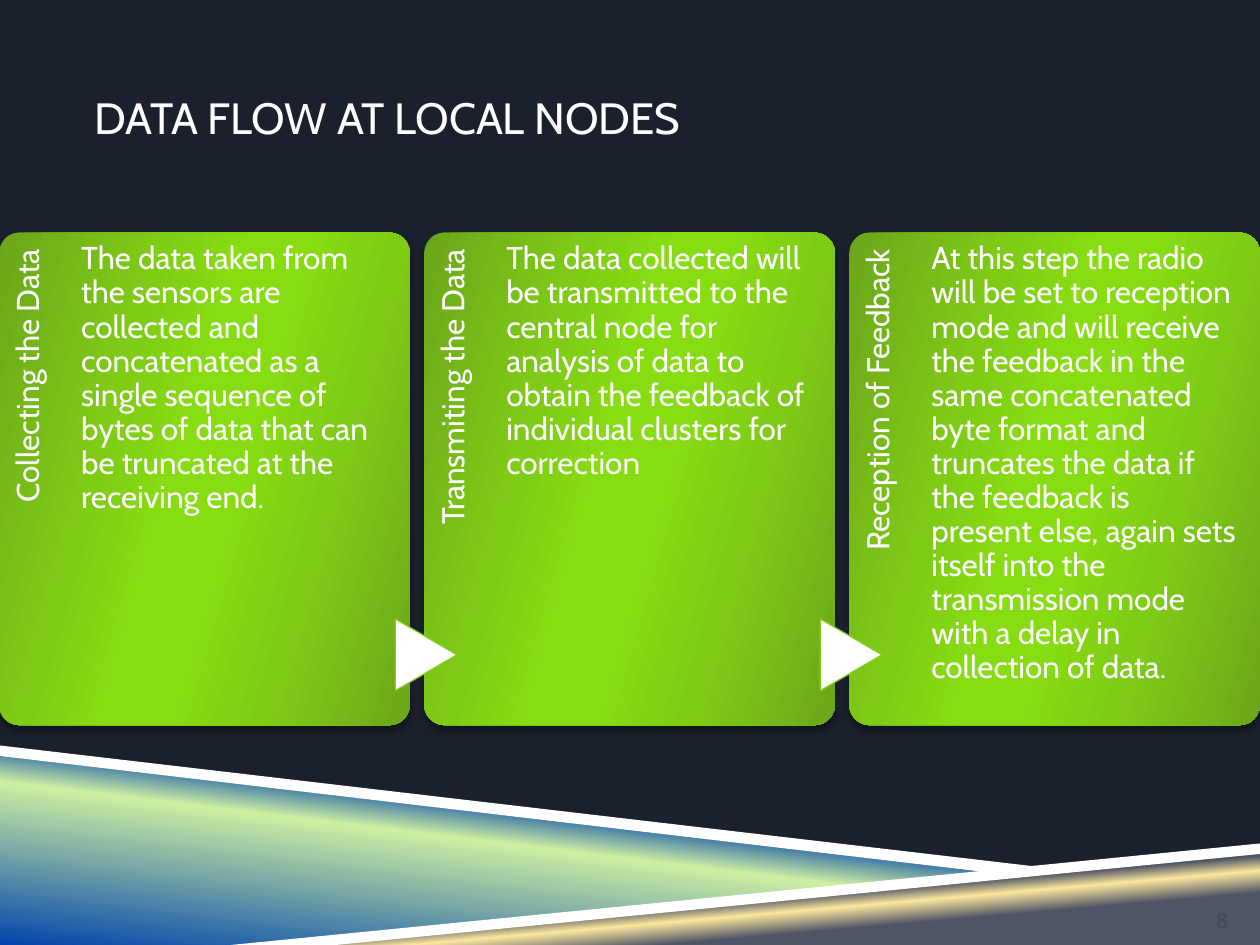
from pptx import Presentation
from pptx.dml.color import RGBColor
from pptx.enum.shapes import MSO_SHAPE
from pptx.enum.text import MSO_ANCHOR, PP_ALIGN
from pptx.oxml import parse_xml
from pptx.oxml.ns import nsdecls
from pptx.util import Pt

WHITE = RGBColor(0xFF, 0xFF, 0xFF)
NAVY = RGBColor(0x1B, 0x21, 0x2C)
BLACK = RGBColor(0, 0, 0)
GRAY = RGBColor(0x47, 0x4A, 0x52)
BLUE = RGBColor(0x01, 0x45, 0xAC)
PALE = RGBColor(0xCE, 0xEF, 0xA2)
SLATE = RGBColor(0x4E, 0x55, 0x67)
SAND = RGBColor(0xFD, 0xE8, 0x9E)
DARK = RGBColor(0x6B, 0xA6, 0x1A)
GREEN = RGBColor(0x7F, 0xCC, 0x16)
BRIGHT = RGBColor(0x87, 0xDD, 0x11)
EDGE = RGBColor(0x85, 0xCE, 0x21)

FONT = "Cabin"
TOP, WIDTH, HEIGHT, STEP = 132.9, 234.7, 281.5, 242.9
SEA = [(0, BLUE), (52, PALE), (66, BLUE), (100, BLUE)]
SHORE = [(0, SLATE), (28, SLATE), (40, SAND), (48, SLATE), (100, SLATE)]
LEAF = [(0, DARK), (30, GREEN), (45, BRIGHT), (55, BRIGHT), (73, GREEN), (100, DARK)]

STEPS = [
    ("Collecting the Data",
     "The data taken from the sensors are collected and concatenated as a single "
     "sequence of bytes of data that can be truncated at the receiving end."),
    ("Transmiting the Data",
     "The data collected will be transmitted to the central node for analysis of "
     "data to obtain the feedback of individual clusters for correction"),
    ("Reception of Feedback",
     "At this step the radio will be set to reception mode and will receive the "
     "feedback in the same concatenated byte format and truncates the data if the "
     "feedback is present else, again sets itself into the transmission mode with "
     "a delay in collection of data."),
]


def shade(shape, stops, angle):
    shape.fill.background()
    marks = "".join(
        f'<a:gs pos="{pos * 1000}"><a:srgbClr val="{color}"/></a:gs>'
        for pos, color in stops)
    grad = parse_xml(
        f'<a:gradFill {nsdecls("a")} rotWithShape="1"><a:gsLst>{marks}</a:gsLst>'
        f'<a:lin ang="{angle * 60000}" scaled="0"/></a:gradFill>')
    props = shape._element.spPr
    props.replace(props.find("{*}noFill"), grad)


def drop(shape):
    effects = shape._element.spPr.find("{*}effectLst")
    effects.append(parse_xml(
        f'<a:outerShdw {nsdecls("a")} blurRad="{Pt(4)}" dist="{Pt(3.3)}" '
        f'dir="5400000" rotWithShape="0"><a:srgbClr val="{BLACK}">'
        '<a:alpha val="40000"/></a:srgbClr></a:outerShdw>'))


def write(slide, text, box, size=18, color=WHITE, bold=False, align=PP_ALIGN.LEFT,
          anchor=MSO_ANCHOR.TOP, inset=(0, 0, 0, 0), space=None, turn=0):
    shape = slide.shapes.add_textbox(*map(Pt, box))
    shape.rotation = turn
    frame = shape.text_frame
    frame.word_wrap = True
    frame.vertical_anchor = anchor
    frame.margin_left, frame.margin_top, frame.margin_right, frame.margin_bottom = map(Pt, inset)
    para = frame.paragraphs[0]
    para.alignment = align
    para.line_spacing = space
    run = para.add_run()
    run.text = text
    run.font.name = FONT
    run.font.size = Pt(size)
    run.font.bold = bold
    run.font.color.rgb = color


def wedge(slide, points, stops=None, angle=0):
    pen = slide.shapes.build_freeform(*points[0], scale=Pt(1))
    pen.add_line_segments(points[1:], close=True)
    shape = pen.convert_to_shape()
    shape.shadow.inherit = False
    shape.line.fill.background()
    if stops:
        shade(shape, stops, angle)
    else:
        shape.fill.solid()
        shape.fill.fore_color.rgb = WHITE


def card(slide, left, label, body):
    shape = slide.shapes.add_shape(
        MSO_SHAPE.ROUNDED_RECTANGLE, Pt(left), Pt(TOP), Pt(WIDTH), Pt(HEIGHT))
    shape.adjustments[0] = 0.05
    shape.shadow.inherit = False
    shape.line.fill.background()
    shade(shape, LEAF, 16)
    drop(shape)
    write(slide, label, (left - 91.9, 225, 231, 46.9), align=PP_ALIGN.RIGHT,
          inset=(0, 7.2, 9.4, 0), space=0.9, turn=270)
    write(slide, body, (left + 46.9, TOP, 174.3, HEIGHT), inset=(0, 5.8, 0, 0), space=0.9)


def arrow(slide, left):
    shape = slide.shapes.add_shape(
        MSO_SHAPE.FLOWCHART_EXTRACT, Pt(left), Pt(356.6), Pt(41), Pt(35.2))
    shape.rotation = 90
    shape.shadow.inherit = False
    shape.fill.solid()
    shape.fill.fore_color.rgb = WHITE
    shape.line.color.rgb = EDGE
    shape.line.width = Pt(0.75)


def main():
    deck = Presentation()
    deck.slide_width, deck.slide_height = Pt(720), Pt(540)
    slide = deck.slides.add_slide(deck.slide_layouts[6])
    back = slide.background.fill
    back.solid()
    back.fore_color.rgb = NAVY

    wedge(slide, [(0, 430), (570, 498), (144, 540), (0, 540)], SEA, 277)
    wedge(slide, [(142.5, 540), (720, 484), (720, 540)], SHORE, 265)
    wedge(slide, [(0, 426), (0, 432), (569, 499), (599, 496.5)])
    wedge(slide, [(720, 481.5), (132.5, 540), (191.5, 540), (720, 487.5)])

    write(slide, "DATA FLOW AT LOCAL NODES", (54, 21.6, 612, 90), size=25,
          anchor=MSO_ANCHOR.MIDDLE, inset=(0, 4.3, 0, 4.3))
    for index, (label, body) in enumerate(STEPS):
        left = -0.5 + index * STEP
        card(slide, left, label, body)
        if index:
            arrow(slide, left - 19.4)
    write(slide, "8", (666, 516, 36, 20), size=12, color=GRAY, bold=True,
          align=PP_ALIGN.RIGHT, anchor=MSO_ANCHOR.MIDDLE)
    deck.save("out.pptx")


if __name__ == "__main__":
    main()
